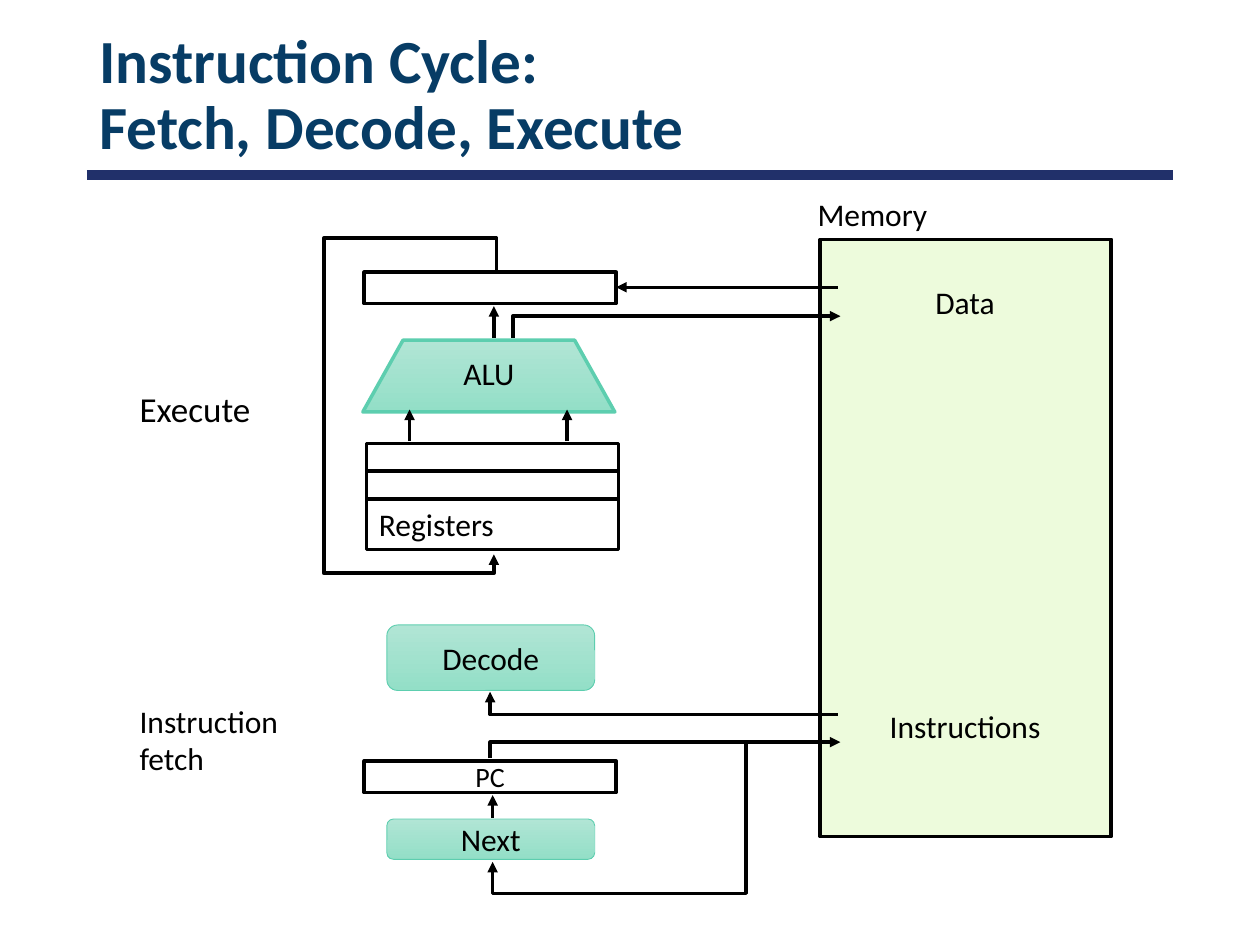
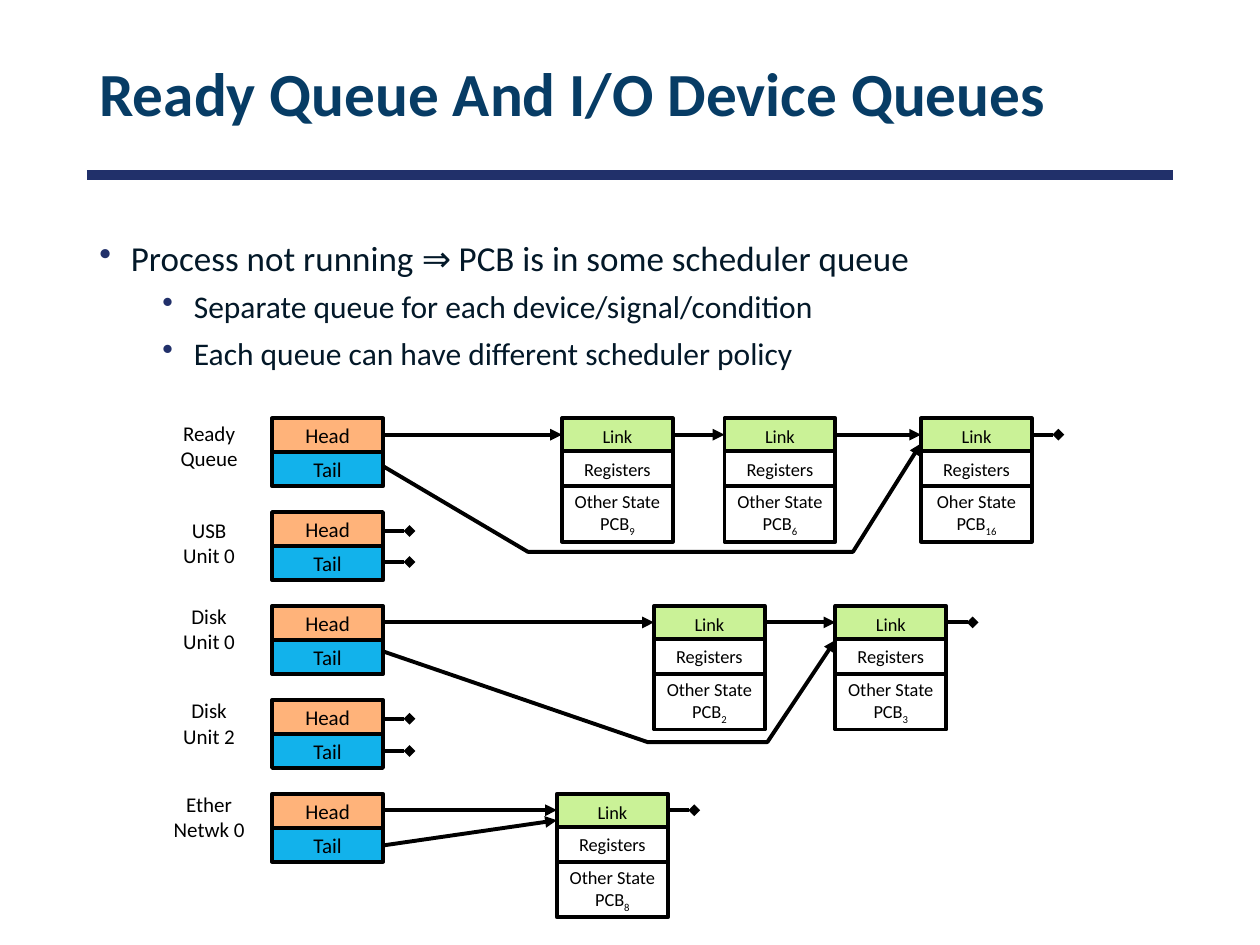
"""Build two slides: the instruction cycle, and the ready and device queues."""
from lxml import etree
from pptx import Presentation
from pptx.dml.color import RGBColor
from pptx.enum import shapes, text
from pptx.oxml import ns
from pptx.util import Inches, Pt

NAVY = RGBColor(0x07, 0x3C, 0x65)
BAND = RGBColor(0x21, 0x30, 0x6A)
INK = RGBColor(0x03, 0x18, 0x28)
BLACK = RGBColor(0, 0, 0)
WHITE = RGBColor(255, 255, 255)
CREAM = RGBColor(0xED, 0xFB, 0xDC)
MINT = (RGBColor(0xB1, 0xE5, 0xD5), RGBColor(0x93, 0xDF, 0xC7))
TEAL = RGBColor(0x5D, 0xCE, 0xAF)
LIME = RGBColor(0xCA, 0xF2, 0x97)
PEACH = RGBColor(0xFF, 0xB3, 0x7A)
SKY = RGBColor(0x12, 0xB2, 0xEB)

RECT = shapes.MSO_SHAPE.RECTANGLE
ROUND = shapes.MSO_SHAPE.ROUNDED_RECTANGLE
TRAP = shapes.MSO_SHAPE.TRAPEZOID
LEFT, MID = text.PP_ALIGN.LEFT, text.PP_ALIGN.CENTER
TOP, CORE, BASE = text.MSO_ANCHOR.TOP, text.MSO_ANCHOR.MIDDLE, text.MSO_ANCHOR.BOTTOM


def box(page, kind, at, words="", size=18, ink=BLACK, bold=False, fill=None,
        edge=BLACK, thick=2, align=MID, anchor=CORE, wrap=True):
    """Add a shape, or a text box if kind is None; "_" starts a subscript."""
    place = [Inches(n) for n in at]
    if kind is None:
        item = page.shapes.add_textbox(*place)
    else:
        item = page.shapes.add_shape(kind, *place)
        item.shadow.inherit = False
        item.line.color.rgb = edge
        item.line.width = Pt(thick)
        if fill is None:
            item.fill.background()
        elif fill is MINT:
            item.fill.gradient()
            item.fill.gradient_angle = 270
            for stop, tone in zip(item.fill.gradient_stops, MINT):
                stop.color.rgb = tone
        else:
            item.fill.solid()
            item.fill.fore_color.rgb = fill
    frame = item.text_frame
    for key, val in {"word_wrap": wrap, "vertical_anchor": anchor}.items():
        setattr(frame, key, val)
    for num, line in enumerate(words.split("\n") if words else []):
        para = frame.add_paragraph() if num else frame.paragraphs[0]
        main, mark, sub = line.partition("_")
        para.text = main
        para.alignment = align
        if mark:
            run = para.add_run()
            run.text = sub
            run._r.get_or_add_rPr().set("baseline", "-25000")
        for run in para.runs:
            for key, val in {"name": "Calibri", "size": Pt(size), "bold": bold}.items():
                setattr(run.font, key, val)
            run.font.color.rgb = ink
    return item


def link(page, spots, thick=2, tip="triangle", tone=BLACK):
    """Draw a line through the spots, ending in the given tip."""
    spots = [(Inches(x), Inches(y)) for x, y in spots]
    if len(spots) == 2:
        item = page.shapes.add_connector(shapes.MSO_CONNECTOR.STRAIGHT, *spots[0], *spots[1])
    else:
        pen = page.shapes.build_freeform(*spots[0])
        pen.add_line_segments(spots[1:], close=False)
        item = pen.convert_to_shape()
        item.fill.background()
    item.line.color.rgb = tone
    item.line.width = Pt(thick)
    props = item.element.spPr
    if tip:
        etree.SubElement(props.find(ns.qn("a:ln")), ns.qn("a:tailEnd"), type=tip)
    etree.SubElement(props, ns.qn("a:effectLst"))


deck = Presentation()
deck.slide_width, deck.slide_height = Inches(10), Inches(7.5)
pages = []
for name in ("Instruction Cycle:\vFetch, Decode, Execute",
             "Ready Queue And I/O Device Queues"):
    page = deck.slides.add_slide(deck.slide_layouts[6])
    link(page, [(0.69, 1.39), (9.31, 1.39)], 6, None, BAND)
    title = box(page, None, (0.69, 0.23, 8.62, 1.08), name, 35, NAVY, True, align=LEFT)
    title.text_frame.paragraphs[0].line_spacing = 0.9
    pages.append(page)
cycle, queues = pages

box(cycle, RECT, (6.51, 1.9, 2.31, 4.74), fill=CREAM)
for words, top in (("Data", 2.2), ("Instructions", 5.56)):
    box(cycle, None, (6.66, top, 2, 0.4), words)
for words, left, top, wide, size in (
        ("Memory", 6.39, 1.5, 1.3, 18),
        ("Execute", 1.01, 3.03, 1.3, 20),
        ("Instruction\vfetch", 1.01, 5.52, 1.6, 18)):
    box(cycle, None, (left, top, wide, 0.4), words, size, align=LEFT, anchor=TOP)

box(cycle, RECT, (2.89, 2.16, 2, 0.25))
box(cycle, RECT, (2.89, 6.04, 2, 0.25), "PC", 16)
alu = box(cycle, TRAP, (2.88, 2.7, 2, 0.57), "ALU", fill=MINT, edge=TEAL, anchor=TOP)
alu.adjustments[0] = 0.56
box(cycle, RECT, (2.91, 3.52, 2, 0.84), "Registers", align=LEFT, anchor=BASE)
box(cycle, RECT, (2.91, 3.74, 2, 0.22))
for words, top, high in (("Decode", 4.96, 0.52), ("Next", 6.5, 0.32)):
    box(cycle, ROUND, (3.07, top, 1.65, high), words, fill=MINT, edge=TEAL, thick=0.5)

for spots in (
        [(3.25, 3.5), (3.25, 3.25)],
        [(4.5, 3.5), (4.5, 3.25)],
        [(3.92, 2.68), (3.92, 2.43)],
        [(6.65, 2.28), (4.89, 2.28)],
        [(4.07, 2.68), (4.07, 2.51), (6.67, 2.51)],
        [(3.94, 2.14), (3.94, 1.89), (2.57, 1.89), (2.57, 4.55), (3.92, 4.55), (3.92, 4.4)],
        [(6.65, 5.67), (3.89, 5.67), (3.89, 5.49)],
        [(3.89, 6.02), (3.89, 5.89), (6.67, 5.89)],
        [(3.91, 6.49), (3.91, 6.31)],
        [(5.92, 5.89), (5.92, 7.09), (3.91, 7.09), (3.91, 6.84)]):
    link(cycle, spots)

points = (("Process not running ⇒ PCB is in some scheduler queue", 20, 0.25, 10, 0),
          ("Separate queue for each device/signal/condition", 18, 0.75, 5, 1),
          ("Each queue can have different scheduler policy", 18, 0.75, 5, 1))
body = box(queues, None, (0.69, 1.83, 8.62, 1.3), "\n".join(p[0] for p in points),
           ink=INK, align=LEFT, anchor=TOP)
for para, (words, size, left, gap, level) in zip(body.text_frame.paragraphs, points):
    para.runs[0].font.size = Pt(size)
    para.space_before = Pt(gap)
    para.level = level
    props = para._p.get_or_add_pPr()
    for key, val in {"marL": left, "indent": -0.25}.items():
        props.set(key, str(Inches(val)))
    tint = etree.SubElement(props, ns.qn("a:buClr"))
    etree.SubElement(tint, ns.qn("a:srgbClr"), val=str(BAND))
    etree.SubElement(props, ns.qn("a:buChar"), char="•")

WIDE, EDGE, THICK = 0.88, 3.04, 2.25
rows = (
    ("Ready\nQueue", 3.29, [(4.46, "Other State\nPCB_9"), (5.75, "Other State\nPCB_6"),
                            (7.31, "Oher State\nPCB_16")],
     [(EDGE, 3.7), (4.19, 4.38), (6.77, 4.38), (7.31, 3.52)]),
    ("USB\nUnit 0", 4.06, [], [(EDGE, 4.46), (3.25, 4.46)]),
    ("Disk\nUnit 0", 4.74, [(5.19, "Other State\nPCB_2"), (6.63, "Other State\nPCB_3")],
     [(EDGE, 5.17), (5.14, 5.89), (6.09, 5.89), (6.63, 5.08)]),
    ("Disk\nUnit 2", 5.49, [], [(EDGE, 5.96), (3.25, 5.96)]),
    ("Ether\nNetwk 0", 6.23, [(4.42, "Other State\nPCB_8")], [(EDGE, 6.71), (4.42, 6.51)]),
)
for num, (label, high, blocks, tail) in enumerate(rows):
    top = 3.32 + 0.745 * num
    box(queues, None, (1.16, high, 1, 0.51), label, 12, anchor=TOP)
    for words, drop, fill in (("Head", 0, PEACH), ("Tail", 0.27, SKY)):
        box(queues, RECT, (2.16, top + drop, WIDE, 0.27), words, 12,
            fill=fill, thick=THICK, wrap=False)
    mid = top + (0.13 if blocks else 0.15)
    start = EDGE
    for left, state in blocks:
        for words, drop, tall, fill in ((state, 0.54, 0.44, WHITE), ("Link", 0, 0.29, LIME),
                                        ("Registers", 0.26, 0.28, WHITE)):
            box(queues, RECT, (left, top + drop, WIDE, tall), words, 10.5,
                fill=fill, thick=THICK, wrap=False)
        link(queues, [(start, mid), (left, mid)], THICK)
        start = left + WIDE
    link(queues, [(start, mid), (start + 0.21, mid)], THICK, "diamond")
    link(queues, tail, THICK, "triangle" if blocks else "diamond")

deck.save("out.pptx")
